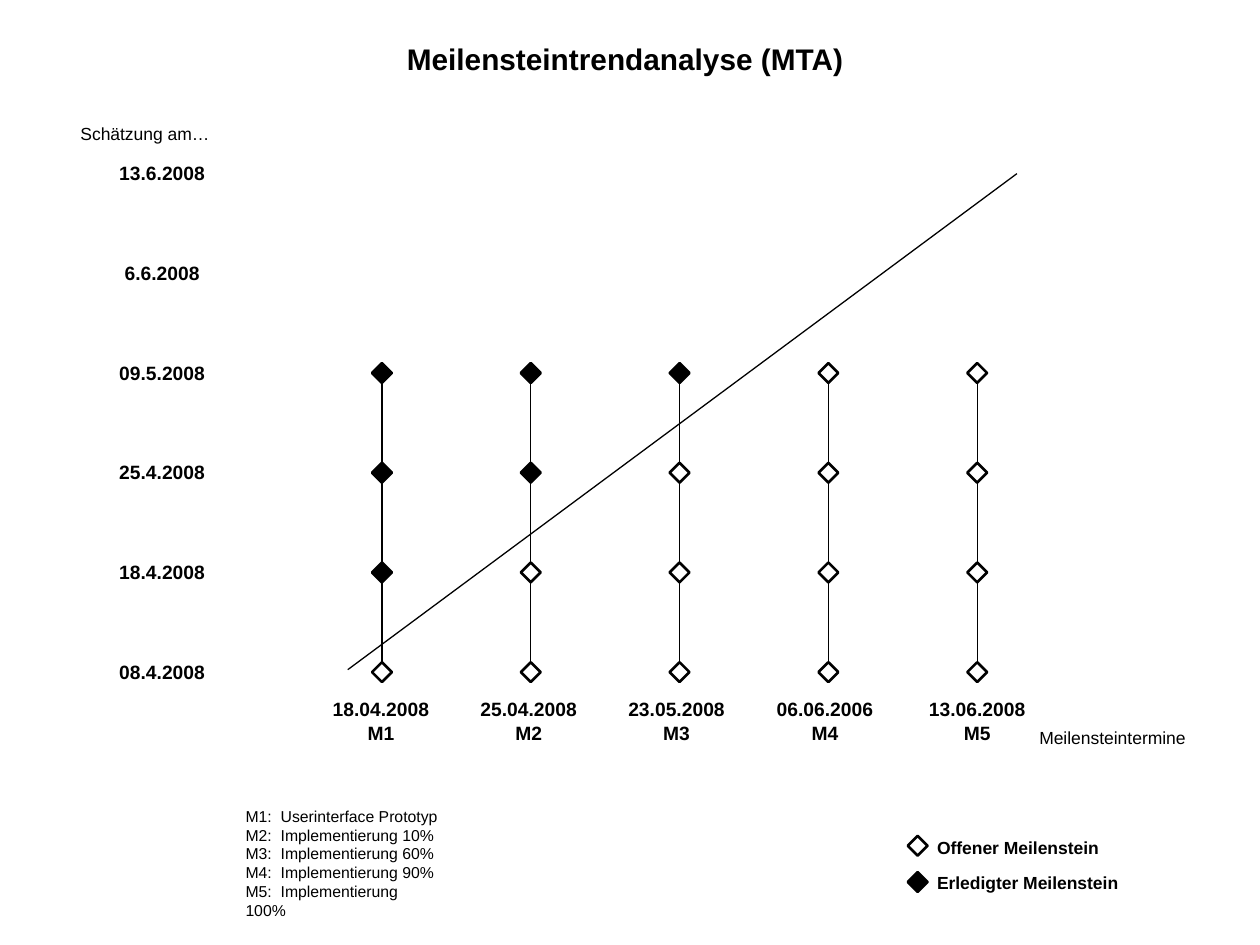
from lxml import etree
from pptx import Presentation
from pptx import util as u
from pptx.dml.color import RGBColor
from pptx.enum import shapes, text
from pptx.oxml.ns import qn

BLACK = RGBColor(0x00, 0x00, 0x00)
WHITE = RGBColor(0xFF, 0xFF, 0xFF)

LEFT, CENTER, RIGHT = text.PP_ALIGN.LEFT, text.PP_ALIGN.CENTER, text.PP_ALIGN.RIGHT
FIRST_X, STEP_X = 7.7, 3.0
FIRST_Y, STEP_Y = 3.5, 2.01
SIZE = 0.4

ESTIMATES = ["13.6.2008", "6.6.2008", "09.5.2008", "25.4.2008", "18.4.2008", "08.4.2008"]
DEADLINES = {
    "18.04.2008": 7.68,
    "25.04.2008": 10.66,
    "23.05.2008": 13.64,
    "06.06.2006": 16.63,
    "13.06.2008": 19.7,
}
DONE_COUNTS = {2: 3, 3: 2, 4: 1, 5: 0}
MILESTONES = [
    "M1:\tUserinterface Prototyp",
    "M2:\tImplementierung 10%",
    "M3:\tImplementierung 60%",
    "M4:\tImplementierung 90%",
    "M5:\tImplementierung 100%",
]


def add_text(s, box, lines, size, bold=False, align=LEFT, tab=None, **spacing):
    sp = s.shapes.add_textbox(*map(u.Cm, box))
    tf = sp.text_frame
    tf.word_wrap = False
    tf.auto_size = text.MSO_AUTO_SIZE.SHAPE_TO_FIT_TEXT
    for i, line in enumerate(lines):
        p = tf.paragraphs[0] if i == 0 else tf.add_paragraph()
        if tab:
            tabs = etree.SubElement(p._p.get_or_add_pPr(), qn("a:tabLst"))
            etree.SubElement(tabs, qn("a:tab"), pos=str(u.Cm(tab)), algn="l")
        p.alignment = align
        for name, value in spacing.items():
            if i or name != "space_before":
                setattr(p, name, value)
        r = p.add_run()
        r.text = line
        for name, value in {"name": "Arial", "size": u.Pt(size), "bold": bold}.items():
            setattr(r.font, name, value)
        r.font.color.rgb = BLACK


def add_diamond(s, x, y, done):
    sp = s.shapes.add_shape(
        shapes.MSO_SHAPE.FLOWCHART_DECISION,
        u.Cm(x - SIZE / 2), u.Cm(y - SIZE / 2), u.Cm(SIZE), u.Cm(SIZE),
    )
    sp.shadow.inherit = False
    sp.fill.solid()
    sp.fill.fore_color.rgb = BLACK if done else WHITE
    sp.line.color.rgb = BLACK
    sp.line.width = u.Pt(1.5)
    return sp


def add_line(s, x1, y1, x2, y2):
    c = s.shapes.add_connector(shapes.MSO_CONNECTOR.STRAIGHT, *map(u.Cm, (x1, y1, x2, y2)))
    c.line.color.rgb = BLACK
    c.line.width = u.Pt(0.75)
    etree.SubElement(c._element.spPr, qn("a:effectLst"))
    return c


def add_milestone_column(s, column):
    x = FIRST_X + column * STEP_X
    above = None
    for row, done_count in DONE_COUNTS.items():
        y = FIRST_Y + row * STEP_Y
        sp = add_diamond(s, x, y, column < done_count)
        if above is not None:
            c = add_line(s, x, y - STEP_Y, x, y)
            c.begin_connect(above, 2)
            c.end_connect(sp, 0)
        above = sp


def add_axes(s):
    add_text(s, (1.37, 2.36, 3.1, 0.68), ["Schätzung am…"], 10, align=RIGHT)
    for row, date in enumerate(ESTIMATES):
        add_text(s, (1.97, FIRST_Y - 0.37 + row * STEP_Y, 2.6, 0.74), [date], 11, True, CENTER)
    for number, (date, x) in enumerate(DEADLINES.items(), 1):
        add_text(s, (x - 1.4, 13.94, 2.8, 1.19), [date, f"M{number}"], 11, True, CENTER)
    add_text(s, (20.7, 14.53, 3.45, 0.68), ["Meilensteintermine"], 10, align=RIGHT)


def add_legend(s):
    add_text(s, (4.7, 16.13, 4.47, 2.16), MILESTONES, 9, tab=0.71)
    add_text(s, (18.64, 16.66, 4.17, 1.47), ["Offener Meilenstein", "Erledigter Meilenstein"],
             10, True, line_spacing=1.2, space_before=u.Pt(5.5))
    add_diamond(s, 18.5, 17.05, False)
    add_diamond(s, 18.5, 17.78, True)


def main():
    prs = Presentation()
    prs.slide_width, prs.slide_height = u.Cm(25.4), u.Cm(19.05)
    s = prs.slides.add_slide(prs.slide_layouts[6])
    add_text(s, (7.93, 0.69, 9.35, 0.99), ["Meilensteintrendanalyse (MTA)"], 17, True, CENTER)
    add_axes(s)
    add_line(s, 7.01, 13.5, 20.5, 3.5)
    for column in range(len(DEADLINES)):
        add_milestone_column(s, column)
    add_legend(s)
    prs.save("out.pptx")


if __name__ == "__main__":
    main()
